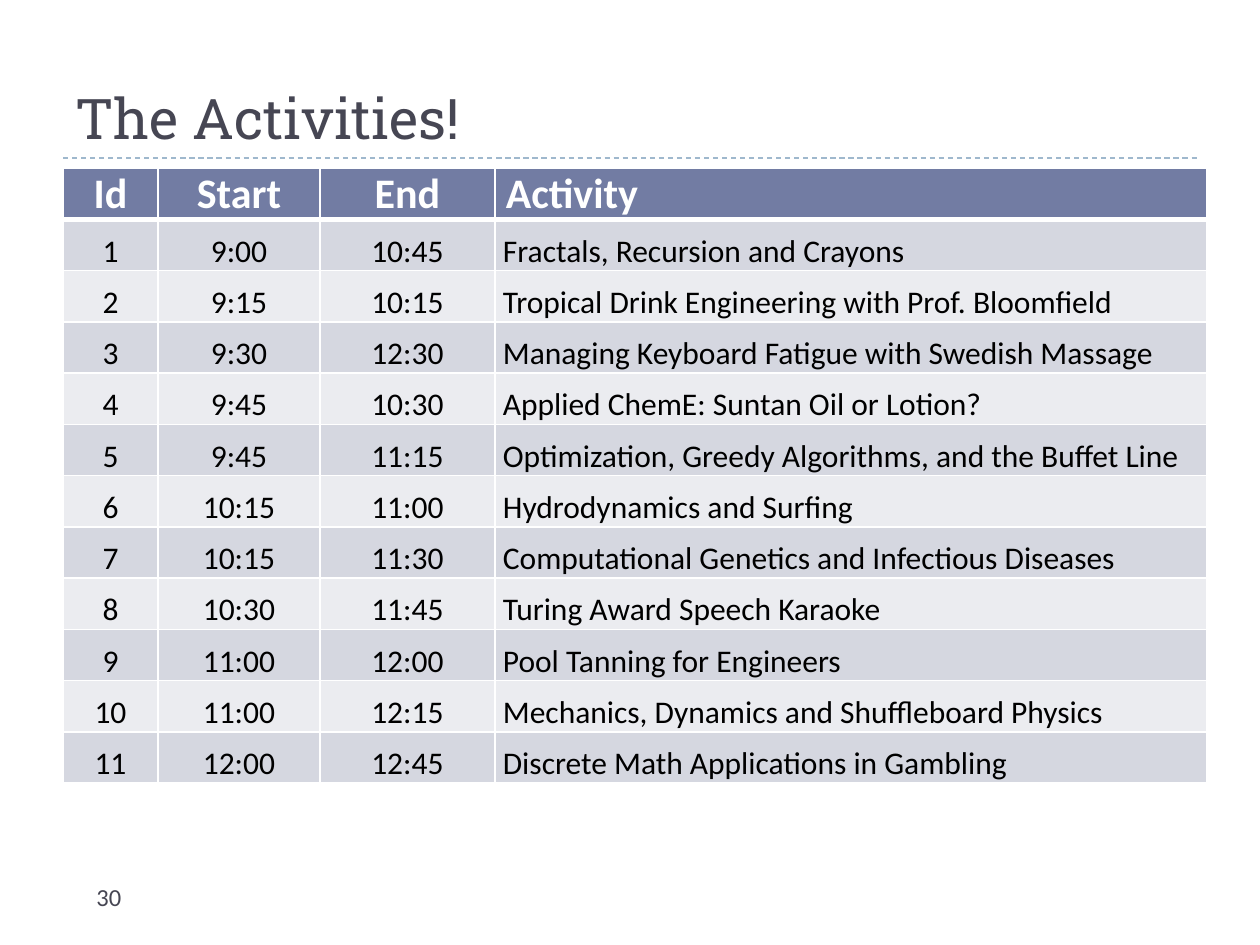
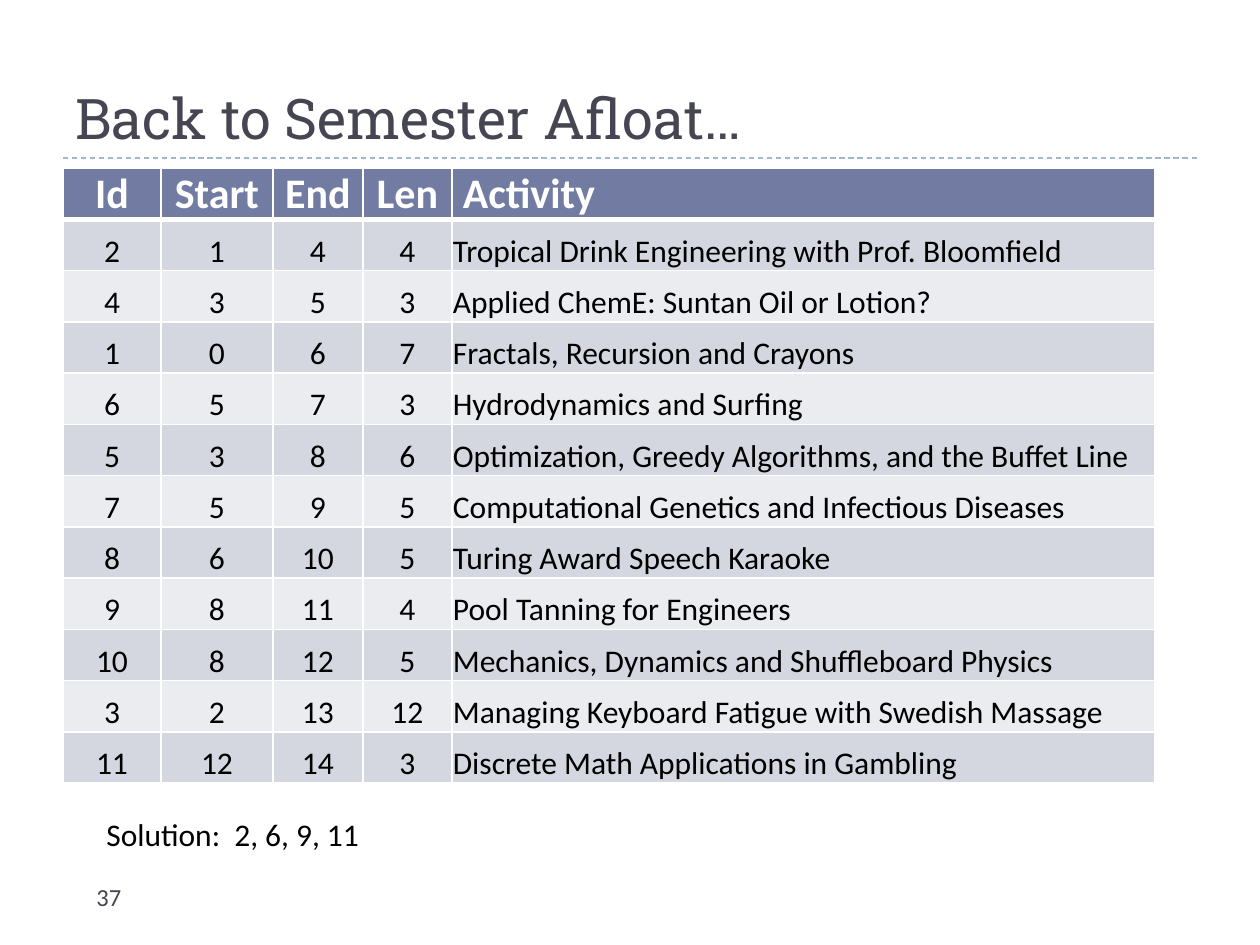
from dataclasses import dataclass

from lxml import etree
from pptx import Presentation
from pptx.dml.color import RGBColor
from pptx.enum import dml, shapes, text
from pptx.oxml import ns
from pptx.util import Emu, Pt

PX = 914400 / 126  # EMU in one px


def px(n):
    return Emu(round(n * PX))


@dataclass(frozen=True)
class Theme:
    ink: str = "464653"
    rule: str = "9FB8CD"
    head: str = "727CA3"
    bands: tuple = ("D5D7E0", "EBECF0")
    white: str = "FFFFFF"
    black: str = "000000"
    serif: str = "Roboto Slab"
    sans: str = "Calibri"
    title: int = 32
    th: int = 24
    body: int = 18
    foot: int = 14


class Deck:
    def __init__(self, theme):
        self.look = theme
        self.file = Presentation()
        self.file.slide_width, self.file.slide_height = px(1260), px(945)
        self.slide = None

    # Frame shared by every slide: rule, title, page number
    def page(self, title, number):
        look = self.look
        self.slide = self.file.slides.add_slide(self.file.slide_layouts[6])
        self.rule(63, 158, 1197)
        self.label(title, (63, 21, 1134, 136), look.title, look.ink,
                   look.serif, text.MSO_ANCHOR.BOTTOM)
        self.label(str(number), (84, 876, 273, 50), look.foot, look.ink)

    def rule(self, left, top, right):
        line = self.slide.shapes.add_connector(
            shapes.MSO_CONNECTOR.STRAIGHT, px(left), px(top), px(right), px(top))
        line.line.color.rgb = RGBColor.from_string(self.look.rule)
        line.line.width = Pt(0.75)
        line.line.dash_style = dml.MSO_LINE.DASH
        etree.SubElement(line._element.spPr, ns.qn("a:effectLst"))

    def font(self, para, size, color, face=None, bold=False):
        para.font.size, para.font.bold = Pt(size), bold
        para.font.name = face or self.look.sans
        para.font.color.rgb = RGBColor.from_string(color)

    def label(self, words, box, size, color, face=None,
              anchor=text.MSO_ANCHOR.TOP, tab=None):
        frame = self.slide.shapes.add_textbox(*map(px, box)).text_frame
        frame.word_wrap = True
        frame.vertical_anchor = anchor
        para = frame.paragraphs[0]
        para.text = words
        if tab:
            stops = etree.SubElement(para._p.get_or_add_pPr(), ns.qn("a:tabLst"))
            etree.SubElement(stops, ns.qn("a:tab"), pos=str(px(tab)), algn="l")
        self.font(para, size, color, face)

    # Table: numbers centred, last column flush left
    def table(self, heads, rows, widths, indent):
        look = self.look
        lines = [heads, *rows]
        height = 615
        grid = self.slide.shapes.add_table(
            len(lines), len(heads), px(63), px(168),
            px(sum(widths)), px(height)).table
        for col, width in zip(grid.columns, widths):
            col.width = px(width)
        for r, line in enumerate(lines):
            grid.rows[r].height = px(height / len(lines))
            for c, value in enumerate(line):
                last = c == len(heads) - 1
                cell = grid.cell(r, c)
                self.edges(cell, top=3 if r == 1 else 1, base=3 if r == 0 else 1)
                cell.fill.solid()
                fill = look.bands[(r - 1) % 2] if r else look.head
                cell.fill.fore_color.rgb = RGBColor.from_string(fill)
                cell.vertical_anchor = text.MSO_ANCHOR.BOTTOM
                cell.margin_top = cell.margin_right = px(1)
                cell.margin_bottom = 0
                cell.margin_left = px((indent if r else 11) if last else 1)
                para = cell.text_frame.paragraphs[0]
                para.text = str(value)
                para.alignment = text.PP_ALIGN.LEFT if last else text.PP_ALIGN.CENTER
                if r:
                    self.font(para, look.body, look.black)
                else:
                    self.font(para, look.th, look.white, bold=True)

    def edges(self, cell, top, base):
        props = cell._tc.get_or_add_tcPr()
        for side, width in (("L", 1), ("R", 1), ("T", top), ("B", base)):
            line = etree.SubElement(props, ns.qn(f"a:ln{side}"), w=str(Pt(width)))
            fill = etree.SubElement(line, ns.qn("a:solidFill"))
            etree.SubElement(fill, ns.qn("a:srgbClr"), val=self.look.white)


EVENTS = [
    ("9:00", "10:45", "Fractals, Recursion and Crayons"),
    ("9:15", "10:15", "Tropical Drink Engineering with Prof. Bloomfield"),
    ("9:30", "12:30", "Managing Keyboard Fatigue with Swedish Massage"),
    ("9:45", "10:30", "Applied ChemE: Suntan Oil or Lotion?"),
    ("9:45", "11:15", "Optimization, Greedy Algorithms, and the Buffet Line"),
    ("10:15", "11:00", "Hydrodynamics and Surfing"),
    ("10:15", "11:30", "Computational Genetics and Infectious Diseases"),
    ("10:30", "11:45", "Turing Award Speech Karaoke"),
    ("11:00", "12:00", "Pool Tanning for Engineers"),
    ("11:00", "12:15", "Mechanics, Dynamics and Shuffleboard Physics"),
    ("12:00", "12:45", "Discrete Math Applications in Gambling"),
]


def slot(time):
    """Count of quarter hours since 9:00."""
    hour, minute = map(int, time.split(":"))
    return (hour - 9) * 4 + minute // 15


def main():
    look = Theme()
    deck = Deck(look)

    # Activities by clock time
    deck.page("The Activities!", 30)
    rows = [(n, *event) for n, event in enumerate(EVENTS, 1)]
    deck.table(("Id", "Start", "End", "Activity"), rows,
               (95, 162, 175, 712), indent=8)

    # Activities by slot, earliest end first; the end slot is inclusive
    deck.page("Back to Semester Afloat…", 37)
    slots = [(n, slot(start), slot(end) - 1, slot(end) - slot(start), name)
             for n, start, end, name in rows]
    slots.sort(key=lambda row: row[2])
    deck.table(("Id", "Start", "End", "Len", "Activity"), slots,
               (98, 112, 90, 89, 703), indent=1)
    deck.label("Solution:\t2, 6, 9, 11", (94, 809, 451, 55),
               look.body, look.black, tab=128)

    deck.file.save("out.pptx")


if __name__ == "__main__":
    main()
